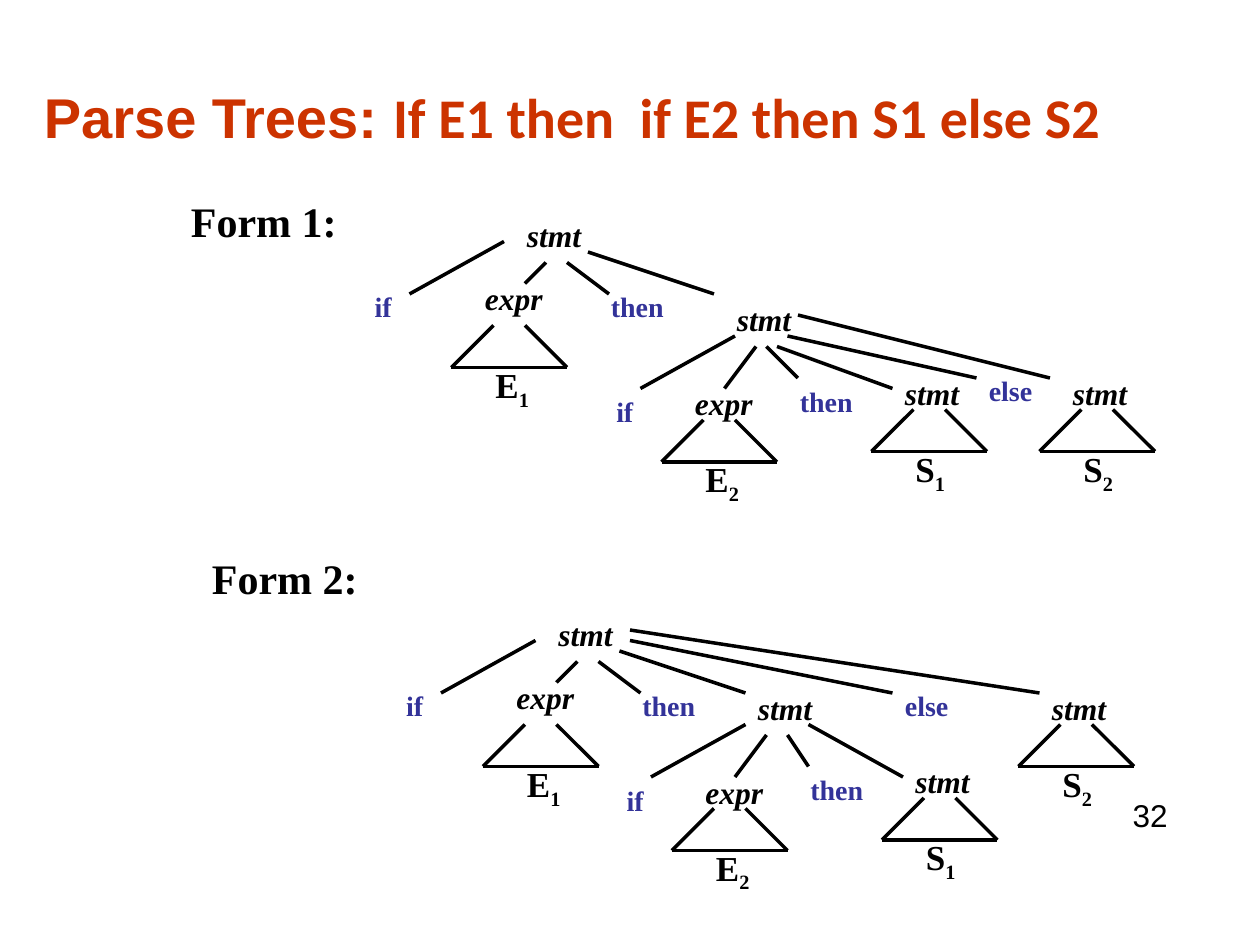
from typing import NamedTuple

from lxml import etree
from pptx import Presentation
from pptx.dml.color import RGBColor
from pptx.enum.shapes import MSO_CONNECTOR
from pptx.enum.text import MSO_ANCHOR, PP_ALIGN
from pptx.oxml.ns import qn
from pptx.util import Inches, Length, Pt

STRAIGHT = MSO_CONNECTOR.STRAIGHT
TOP = MSO_ANCHOR.TOP
LEFT, CENTER = PP_ALIGN.LEFT, PP_ALIGN.CENTER

COLORS = {"title": "CC3300", "text": "000000", "keyword": "333399"}
SERIF = "Times New Roman"


class Point(NamedTuple):
    """A place on the drawing grid, in twelfths of an inch."""
    x: int
    y: int

    def shift(self, x: int, y: int) -> "Point":
        return Point(self.x + x, self.y + y)


class Edge(NamedTuple):
    start: Point
    end: Point


class Form(NamedTuple):
    heading: str
    heading_at: Point
    outer: Point            # outer statement
    inner: Point            # inner conditional
    inner_label_shift: int
    then_start: Point       # relative to inner
    s1_start: Point         # relative to inner
    else_at: Point
    s2_at: Point
    else_edges: tuple[Edge, Edge]


FORMS = [
    Form("Form 1:", Point(17, 18), Point(49, 20), Point(69, 28), 0,
         Point(4, 5), Point(5, 5), Point(93, 35), Point(101, 35),
         (Edge(Point(75, 32), Point(93, 36)), Edge(Point(76, 30), Point(100, 36)))),
    Form("Form 2:", Point(19, 52), Point(52, 58), Point(70, 65), 1,
         Point(5, 5), Point(7, 4), Point(85, 65), Point(99, 65),
         (Edge(Point(60, 61), Point(85, 66)), Edge(Point(60, 60), Point(99, 66)))),
]


def grid(units: int) -> Length:
    return Inches(units / 12)


def add_run(paragraph, text: str, *, size: int, font: str = SERIF, color: str = "text",
            bold: bool = True, italic: bool = False, subscript: bool = False) -> None:
    run = paragraph.add_run()
    run.text = text
    run.font.name = font
    run.font.size = Pt(size)
    run.font.bold = bold
    run.font.italic = italic
    run.font.color.rgb = RGBColor.from_string(COLORS[color])
    if subscript:
        run._r.get_or_add_rPr().set("baseline", "-25000")


def add_text(shapes, text: str, left: Length, top: Length, width: Length, height: Length,
             *, align=LEFT, **run_format):
    """Add a wrapping text box and return its paragraph."""
    frame = shapes.add_textbox(left, top, width, height).text_frame
    frame.word_wrap = True
    frame.vertical_anchor = TOP
    paragraph = frame.paragraphs[0]
    paragraph.alignment = align
    add_run(paragraph, text, **run_format)
    return paragraph


def add_node(shapes, text: str, at: Point) -> None:
    add_text(shapes, text, grid(at.x), grid(at.y), Inches(0.75), Inches(0.4),
             size=18, italic=True)


def add_keyword(shapes, text: str, at: Point) -> None:
    add_text(shapes, text, grid(at.x), grid(at.y), Inches(0.75), Inches(0.37),
             size=16, color="keyword", align=CENTER if text == "if" else LEFT)


def add_edge(shapes, start: Point, end: Point) -> None:
    line = shapes.add_connector(STRAIGHT, grid(start.x), grid(start.y),
                                grid(end.x), grid(end.y))
    line.line.color.rgb = RGBColor.from_string(COLORS["text"])
    line.line.width = Pt(2)
    etree.SubElement(line._element.spPr, qn("a:effectLst"))


def add_subtree(shapes, node: str, letter: str, index: str, at: Point, drop: int = 4) -> None:
    """Add a node with a collapsed subtree that starts drop grid units below it."""
    add_node(shapes, node, at)
    base_left, base_right = at.shift(-2, drop + 4), at.shift(9, drop + 4)
    add_edge(shapes, at.shift(2, drop), base_left)
    add_edge(shapes, at.shift(5, drop), base_right)
    add_edge(shapes, base_left, base_right)
    label = at.shift(1, drop + 3)
    paragraph = add_text(shapes, letter, grid(label.x), grid(label.y),
                         Inches(0.5), Inches(0.48), size=20)
    add_run(paragraph, index, size=20, subscript=True)


def add_form(slide, form: Form) -> None:
    add_text(slide.shapes, form.heading, grid(form.heading_at.x), grid(form.heading_at.y),
             Inches(2.25), Inches(0.5), size=24)
    shapes = slide.shapes.add_group_shape().shapes
    outer, inner = form.outer, form.inner

    add_node(shapes, "stmt", outer)
    add_keyword(shapes, "if", outer.shift(-17, 7))
    add_subtree(shapes, "expr", "E", "1", outer.shift(-4, 6), drop=5)
    add_keyword(shapes, "then", outer.shift(8, 7))

    add_node(shapes, "stmt", inner.shift(form.inner_label_shift, 0))
    add_keyword(shapes, "if", inner.shift(-14, 9))
    add_subtree(shapes, "expr", "E", "2", inner.shift(-4, 8))
    add_keyword(shapes, "then", inner.shift(6, 8))
    add_subtree(shapes, "stmt", "S", "1", inner.shift(16, 7))

    add_keyword(shapes, "else", form.else_at)
    add_subtree(shapes, "stmt", "S", "2", form.s2_at)

    outer_edges = [Edge(Point(-1, 3), Point(-10, 8)), Edge(Point(3, 5), Point(1, 7)),
                   Edge(Point(5, 5), Point(9, 8)), Edge(Point(7, 4), Point(19, 8))]
    inner_edges = [Edge(Point(1, 4), Point(-8, 9)), Edge(Point(3, 5), Point(0, 9)),
                   Edge(form.then_start, Point(7, 8)), Edge(form.s1_start, Point(16, 9))]
    for origin, edges in ((outer, outer_edges), (inner, inner_edges),
                          (Point(0, 0), form.else_edges)):
        for edge in edges:
            add_edge(shapes, origin.shift(*edge.start), origin.shift(*edge.end))


def main() -> None:
    presentation = Presentation()
    presentation.slide_width, presentation.slide_height = Inches(10), Inches(7.5)
    slide = presentation.slides.add_slide(presentation.slide_layouts[6])

    title = add_text(slide.shapes, "Parse Trees: ", Inches(0.25), Inches(0.61),
                     Inches(9.25), Inches(1.17), size=32, font="Arial", color="title")
    add_run(title, "If E1 then  if E2 then S1 else S2", size=32, font="Calibri", color="title")
    for form in FORMS:
        add_form(slide, form)
    add_text(slide.shapes, "32", Inches(8.89), Inches(6.27), Inches(0.67), Inches(0.57),
             size=18, font="Arial", bold=False)
    presentation.save("out.pptx")


if __name__ == "__main__":
    main()
